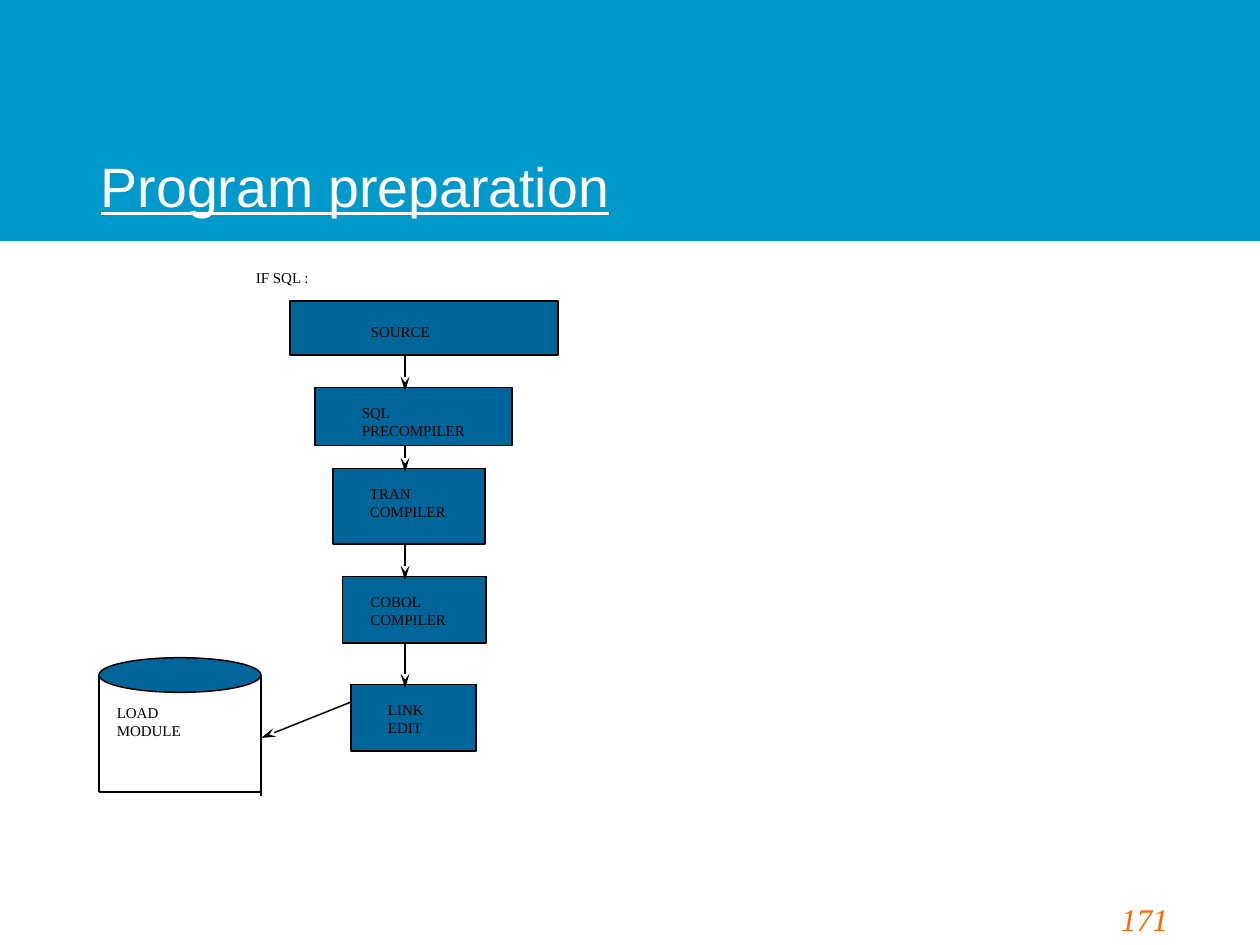
from dataclasses import dataclass

from lxml import etree
from pptx import Presentation, util as u
from pptx.dml.color import RGBColor
from pptx.enum import shapes, text
from pptx.oxml import ns

TITLE = "Program preparation"
CONDITION = ["IF SQL :"]
PAGE_NUMBER = ["171"]
STORE = ["LOAD", "MODULE"]
STEPS = [
    (["SOURCE"], (32.2, 33.45, 29.8, 6), (9, 2.4)),
    (["SQL", "PRECOMPILER"], (35, 43.05, 21.9, 6.45), (5.2, 1.75)),
    (["TRAN", "COMPILER"], (37, 52.05, 16.9, 8.4), (4.1, 1.75)),
    (["COBOL", "COMPILER"], (38.05, 64.05, 15.95, 7.4), (3.1, 1.75)),
    (["LINK", "EDIT"], (39, 76.05, 13.9, 7.4), (4.1, 1.75)),
]
FLOW_COLUMN = 45
ARROW_OVERLAP = 0.45
STORE_LEFT, STORE_RIGHT = 11, 29
STORE_TOP, STORE_BOTTOM = 75, 88
LID_HEIGHT = 3.85


@dataclass(frozen=True)
class Theme:
    band: RGBColor = RGBColor(0x00, 0x99, 0xCC)
    step: RGBColor = RGBColor(0x00, 0x66, 0x99)
    ink: RGBColor = RGBColor(0x00, 0x00, 0x00)
    heading: RGBColor = RGBColor(0xFF, 0xFF, 0xFF)
    number: RGBColor = RGBColor(0xFF, 0x66, 0x00)
    serif: str = "Times New Roman"
    sans: str = "Arial"
    label_size: int = 10
    number_size: int = 21
    title_size: int = 37


THEME = Theme()


def grid(*cells):
    return [u.Emu(round(cell * u.Inches(1) / 12)) for cell in cells]


def write(frame, lines, inset, size=THEME.label_size, color=THEME.ink, name=THEME.serif):
    frame.word_wrap = True
    frame.vertical_anchor = text.MSO_ANCHOR.TOP
    frame.margin_left, frame.margin_top = grid(*inset)
    frame.margin_right = frame.margin_bottom = 0
    for index, line in enumerate(lines):
        para = frame.add_paragraph() if index else frame.paragraphs[0]
        para.text = line
        para.alignment = text.PP_ALIGN.LEFT
        para.font.size = u.Pt(size)
        para.font.name = name
        para.font.color.rgb = color
    return frame


def add_label(page, lines, place, **style):
    box = page.shapes.add_textbox(*grid(*place))
    return write(box.text_frame, lines, (1.2, 0.6), **style)


def add_solid(page, kind, place, fill, outlined=True):
    shape = page.shapes.add_shape(kind, *grid(*place))
    shape.shadow.inherit = False
    shape.fill.solid()
    shape.fill.fore_color.rgb = fill
    if outlined:
        shape.line.color.rgb = THEME.ink
        shape.line.width = u.Pt(1)
    else:
        shape.line.fill.background()
    return shape


def add_line(page, start, end, arrow=False):
    line = page.shapes.add_connector(shapes.MSO_CONNECTOR.STRAIGHT, *grid(*start, *end))
    line.line.color.rgb = THEME.ink
    line.line.width = u.Pt(1)
    if arrow:
        outline = line.line._get_or_add_ln()
        etree.SubElement(outline, ns.qn("a:tailEnd"), type="stealth", w="med", len="lg")
    etree.SubElement(line._element.spPr, ns.qn("a:effectLst"))


def add_heading(page, deck):
    band = add_solid(page, shapes.MSO_SHAPE.RECTANGLE, (0, 0, 0, 26.8), THEME.band, False)
    band.width = deck.slide_width
    page.shapes._spTree.insert(2, band._element)
    title = page.shapes.title
    title.left, title.top, title.width, title.height = grid(9.8, 7.5, 96.5, 17.5)
    frame = write(title.text_frame, [TITLE], (1.4, 0.7),
                  THEME.title_size, THEME.heading, THEME.sans)
    frame.margin_bottom = frame.margin_top
    frame.vertical_anchor = text.MSO_ANCHOR.BOTTOM
    frame.auto_size = text.MSO_AUTO_SIZE.NONE
    frame.paragraphs[0].font.underline = True


def add_flow(page):
    for lines, place, inset in STEPS:
        step = add_solid(page, shapes.MSO_SHAPE.RECTANGLE, place, THEME.step)
        write(step.text_frame, lines, inset)
    for (_, upper, _), (_, lower, _) in zip(STEPS, STEPS[1:]):
        add_line(page, (FLOW_COLUMN, upper[1] + upper[3]),
                 (FLOW_COLUMN, lower[1] + ARROW_OVERLAP), arrow=True)


def add_store(page):
    width = STORE_RIGHT - STORE_LEFT
    lid = (STORE_LEFT, STORE_TOP - LID_HEIGHT / 2, width, LID_HEIGHT)
    add_solid(page, shapes.MSO_SHAPE.OVAL, lid, THEME.step)
    add_line(page, (STORE_LEFT, STORE_TOP), (STORE_LEFT, STORE_BOTTOM))
    add_line(page, (STORE_RIGHT, STORE_TOP), (STORE_RIGHT, STORE_BOTTOM + 0.5))
    add_line(page, (STORE_LEFT, STORE_BOTTOM), (STORE_RIGHT, STORE_BOTTOM))
    add_label(page, STORE, (11.8, 77.6, 12, 5.3))
    add_line(page, (39, 78), (STORE_RIGHT, 82), arrow=True)


def main():
    deck = Presentation()
    deck.slide_width = u.Pt(839.88)
    deck.slide_height = u.Pt(630)
    page = deck.slides.add_slide(deck.slide_layouts[5])
    add_heading(page, deck)
    add_label(page, CONDITION, (27.25, 29.2, 10, 3.2))
    add_flow(page)
    add_store(page)
    number = add_label(page, PAGE_NUMBER, (123.35, 99.45, 16, 5.4),
                       size=THEME.number_size, color=THEME.number)
    number.paragraphs[0].font.italic = True
    deck.save("out.pptx")


if __name__ == "__main__":
    main()
